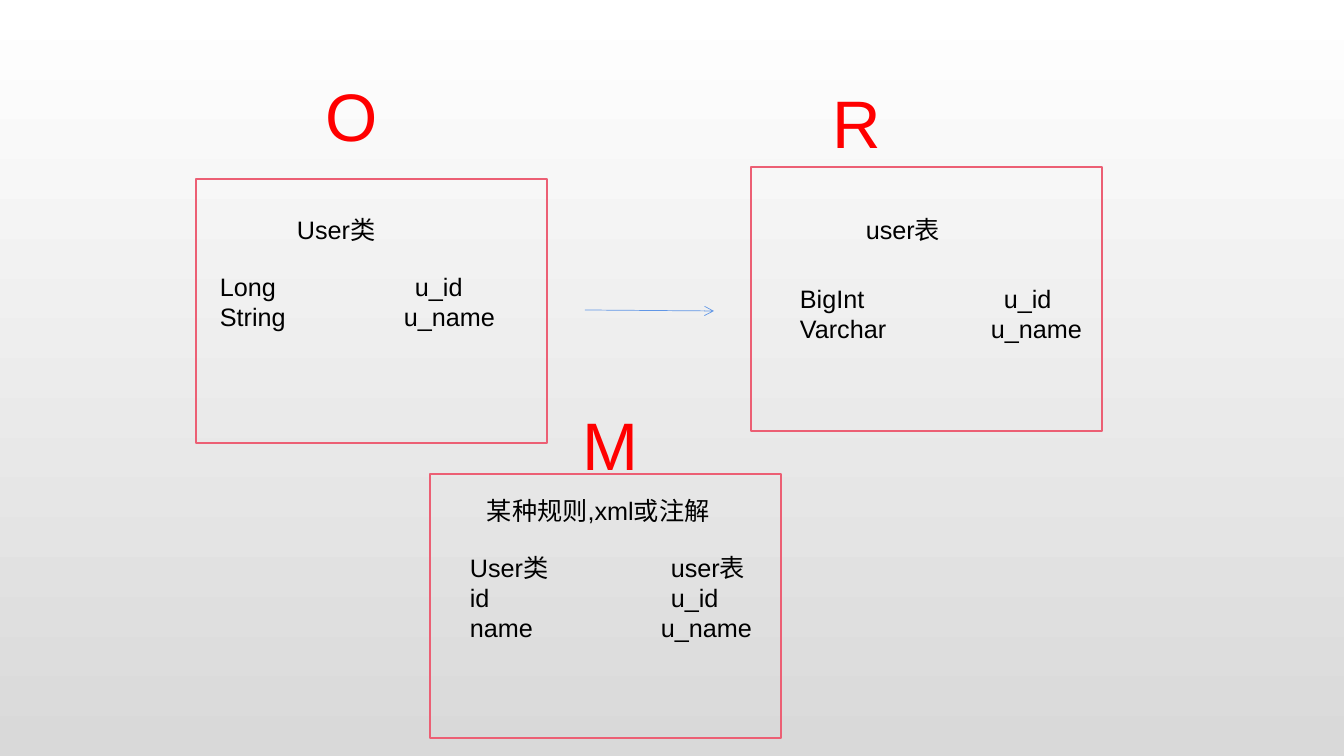
from pptx import Presentation
from pptx.dml.color import RGBColor
from pptx.enum.shapes import MSO_CONNECTOR, MSO_SHAPE
from pptx.util import Emu, Pt
from pptx.oxml.ns import qn
from lxml import etree

LINE = MSO_CONNECTOR.STRAIGHT
RECT = MSO_SHAPE.RECTANGLE
BLACK = RGBColor(0x00, 0x00, 0x00)
RED = RGBColor(0xFF, 0x00, 0x00)
PINK = RGBColor(0xEC, 0x5F, 0x74)
BLUE = RGBColor(0x60, 0x96, 0xE6)
WHITE = RGBColor(0xFF, 0xFF, 0xFF)
GRAY = RGBColor(0xD9, 0xD9, 0xD9)
WIDE, HIGH = 1344, 756
SCALE = 12192000 / WIDE


def px(size):
    return Emu(round(size * SCALE))


class Board:
    face = "Arial"

    def __init__(self, deck):
        self.slide = deck.slides.add_slide(deck.slide_layouts[6])
        self.shapes = self.slide.shapes

    def back(self, top, base):
        fill = self.slide.background.fill
        fill.gradient()
        fill.gradient_angle = 270
        for stop, color in zip(fill.gradient_stops, (top, base)):
            stop.color.rgb = color

    def box(self, x, y, w, h):
        rect = self.shapes.add_shape(RECT, px(x), px(y), px(w), px(h))
        rect.shadow.inherit = False
        rect.fill.background()
        rect.line.color.rgb = PINK
        rect.line.width = Pt(1)

    def text(self, x, y, w, h, rows, size=18, color=BLACK, tabs=()):
        frame = self.shapes.add_textbox(px(x), px(y), px(w), px(h)).text_frame
        frame.word_wrap = True
        frame.text = "\n".join(rows)
        for para in frame.paragraphs:
            para.font.name = self.face
            para.font.size = Pt(size)
            para.font.color.rgb = color
        for para, tab in zip(frame.paragraphs, tabs):
            stops = etree.Element(qn("a:tabLst"))
            etree.SubElement(stops, qn("a:tab"), pos=str(px(tab)), algn="l")
            para._p.get_or_add_pPr().insert(0, stops)

    def arrow(self, x, y, end_x, end_y):
        link = self.shapes.add_connector(LINE, px(x), px(y), px(end_x), px(end_y))
        link.line.color.rgb = BLUE
        link.line.width = Pt(0.5)
        etree.SubElement(link.line._get_or_add_ln(), qn("a:tailEnd"), type="arrow")
        etree.SubElement(link._element.spPr, qn("a:effectLst"))


def main():
    deck = Presentation()
    deck.slide_width, deck.slide_height = px(WIDE), px(HIGH)
    board = Board(deck)
    board.back(WHITE, GRAY)

    panels = [
        ((196, 179), "O", (316, 69), "User类", (287, 209),
         ["Long\tu_id", "String\tu_name"], (210, 266), (195, 184)),
        ((751, 167), "R", (823, 76), "user表", (856, 209),
         ["BigInt\tu_id", "Varchar\tu_name"], (790, 278), (204, 191)),
        ((430, 474), "M", (573, 398), "某种规则,xml或注解", (477, 490),
         ["User类\tuser表", "id\tu_id", "name\tu_name"], (460, 547), (201, 201, 191)),
    ]
    for spot, mark, mark_at, head, head_at, rows, rows_at, tabs in panels:
        board.box(*spot, 351, 264)
        board.text(*mark_at, 218, 92, [mark], size=48, color=RED)
        board.text(*head_at, 272, 40, [head])
        board.text(*rows_at, 310, 102, rows, tabs=tabs)
    board.arrow(585, 310, 714, 311)
    deck.save("out.pptx")


if __name__ == "__main__":
    main()
